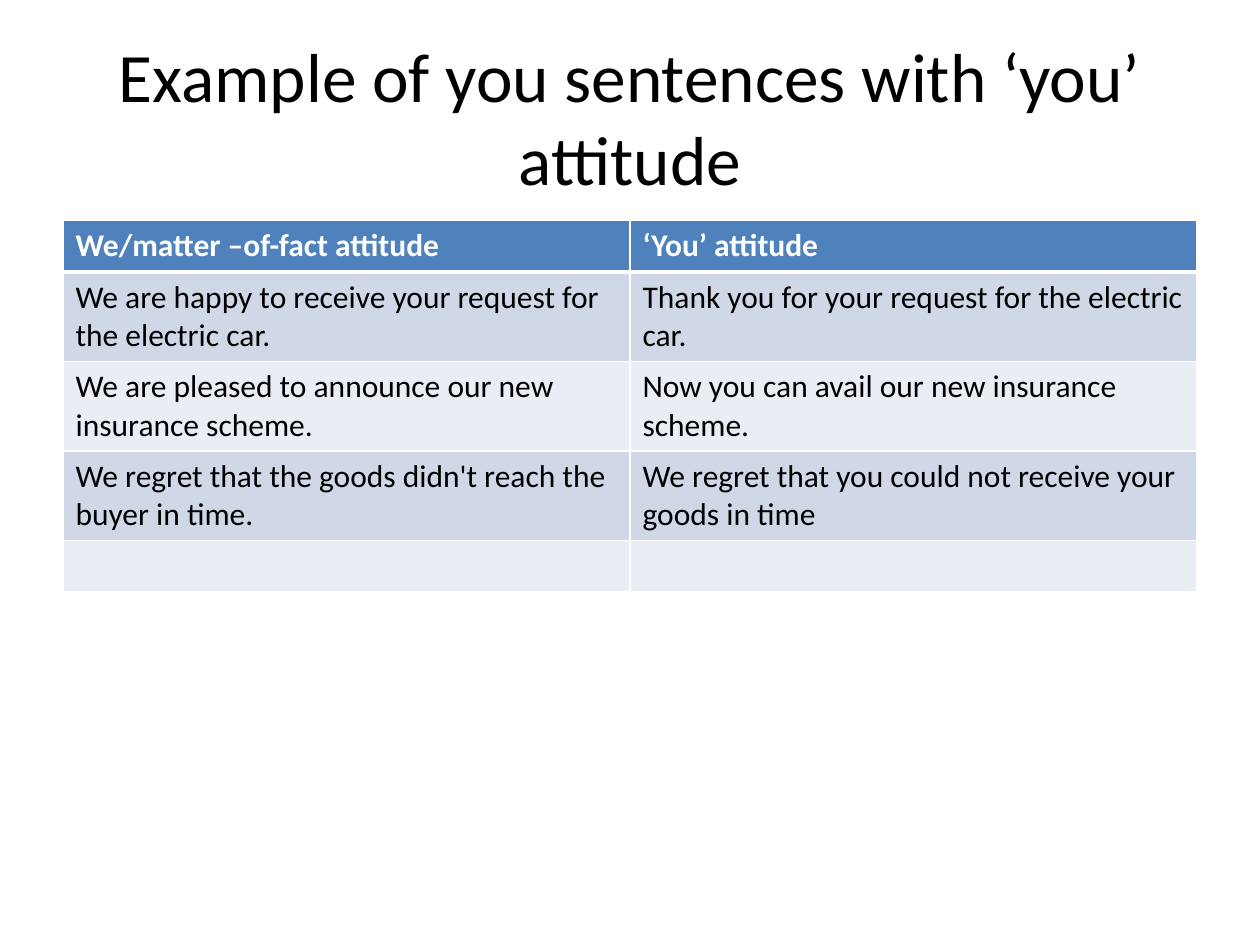
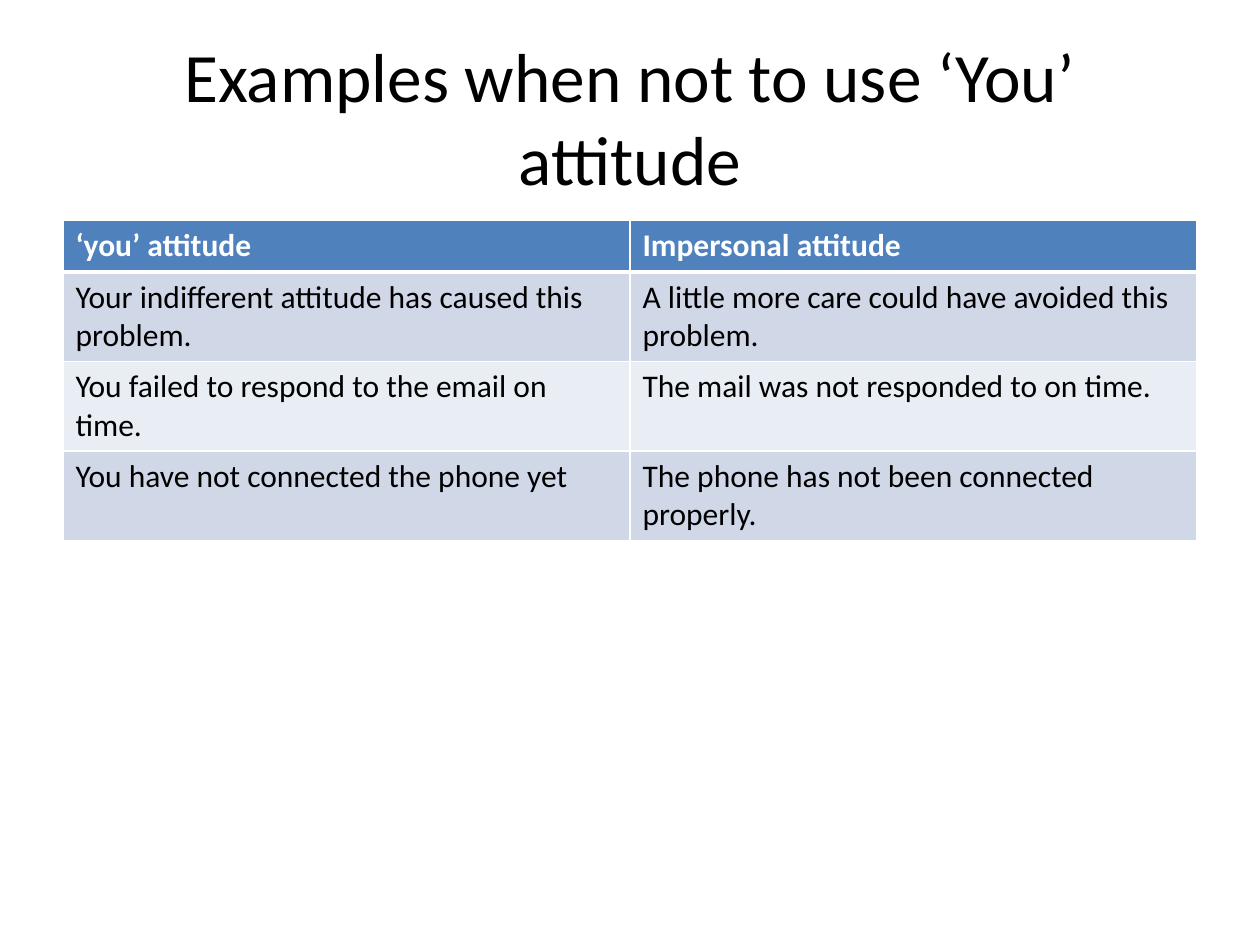
from lxml import etree
from pptx import Presentation
from pptx.dml.color import RGBColor
from pptx.enum.text import MSO_ANCHOR, PP_ALIGN
from pptx.oxml.ns import qn
from pptx.util import Pt

CENTER, LEFT = PP_ALIGN.CENTER, PP_ALIGN.LEFT
MIDDLE = MSO_ANCHOR.MIDDLE
PX = 9144  # 100 px to the inch
FONT = "Calibri"
BLACK, WHITE, BLUE = "000000", "FFFFFF", "4F81BD"
BANDS = ["D0D8E8", "E9EDF4"]
TITLE_BOX = (50, 30, 900, 125)
TABLE_BOX = (50, 175, 900)
LOW, TALL = 41, 71  # rows of one and two lines

SLIDES = [
    ("Example of you sentences with ‘you’ attitude", [
        ("We/matter –of-fact attitude", "‘You’ attitude"),
        ("We are happy to receive your request for the electric car.",
         "Thank you for your request for the electric car."),
        ("We are pleased to announce our new insurance scheme.",
         "Now you can avail our new insurance scheme."),
        ("We regret that the goods didn't reach the buyer in time.",
         "We regret that you could not receive your goods in time"),
        ("", ""),
    ]),
    ("Examples when not to use ‘You’ attitude", [
        ("‘you’ attitude", "Impersonal attitude"),
        ("Your indifferent attitude has caused this problem.",
         "A little more care could have avoided this problem."),
        ("You failed to respond to the email on time.",
         "The mail was not responded to on time."),
        ("You have not connected the phone yet",
         "The phone has not been connected properly."),
    ]),
]


def color(code):
    return RGBColor.from_string(code)


def write(frame, text, size, ink, align=LEFT, bold=False):
    para = frame.paragraphs[0]
    para.text = text
    para.alignment = align
    font = para.font
    font.name, font.size, font.bold = FONT, Pt(size), bold
    font.color.rgb = color(ink)


def add_title(slide, box, text):
    frame = slide.shapes.add_textbox(*[n * PX for n in box]).text_frame
    frame.word_wrap = True
    frame.vertical_anchor = MIDDLE
    write(frame, text, 39.6, BLACK, CENTER)


def add_edges(cell, widths):
    """Draw white borders; widths maps each side (L, R, T, B) to points."""
    props = cell._tc.get_or_add_tcPr()
    for spot, (side, width) in enumerate(widths.items()):
        line = etree.Element(qn(f"a:ln{side}"), w=str(Pt(width)))
        fill = etree.SubElement(line, qn("a:solidFill"))
        etree.SubElement(fill, qn("a:srgbClr"), val=WHITE)
        props.insert(spot, line)


def add_table(slide, box, rows):
    left, top, width = box
    heights = [TALL if any(row) else LOW for row in rows]
    heights[0] = LOW
    count = len(rows[0])
    table = slide.shapes.add_table(
        len(rows), count, left * PX, top * PX, width * PX,
        sum(heights) * PX).table
    for col in table.columns:
        col.width = width // count * PX
    for i, (row, height) in enumerate(zip(rows, heights)):
        table.rows[i].height = height * PX
        head = i == 0
        for j, text in enumerate(row):
            cell = table.cell(i, j)
            cell.fill.solid()
            cell.fill.fore_color.rgb = color(BLUE if head else BANDS[(i - 1) % 2])
            write(cell.text_frame, text, 18, WHITE if head else BLACK, bold=head)
            add_edges(cell, {"L": 1, "R": 1, "T": 3 if i == 1 else 1,
                             "B": 3 if head else 1})


def main():
    deck = Presentation()
    deck.slide_width, deck.slide_height = 1000 * PX, 750 * PX
    for title, rows in SLIDES:
        slide = deck.slides.add_slide(deck.slide_layouts[6])
        add_title(slide, TITLE_BOX, title)
        add_table(slide, TABLE_BOX, rows)
    deck.save("out.pptx")


if __name__ == "__main__":
    main()
